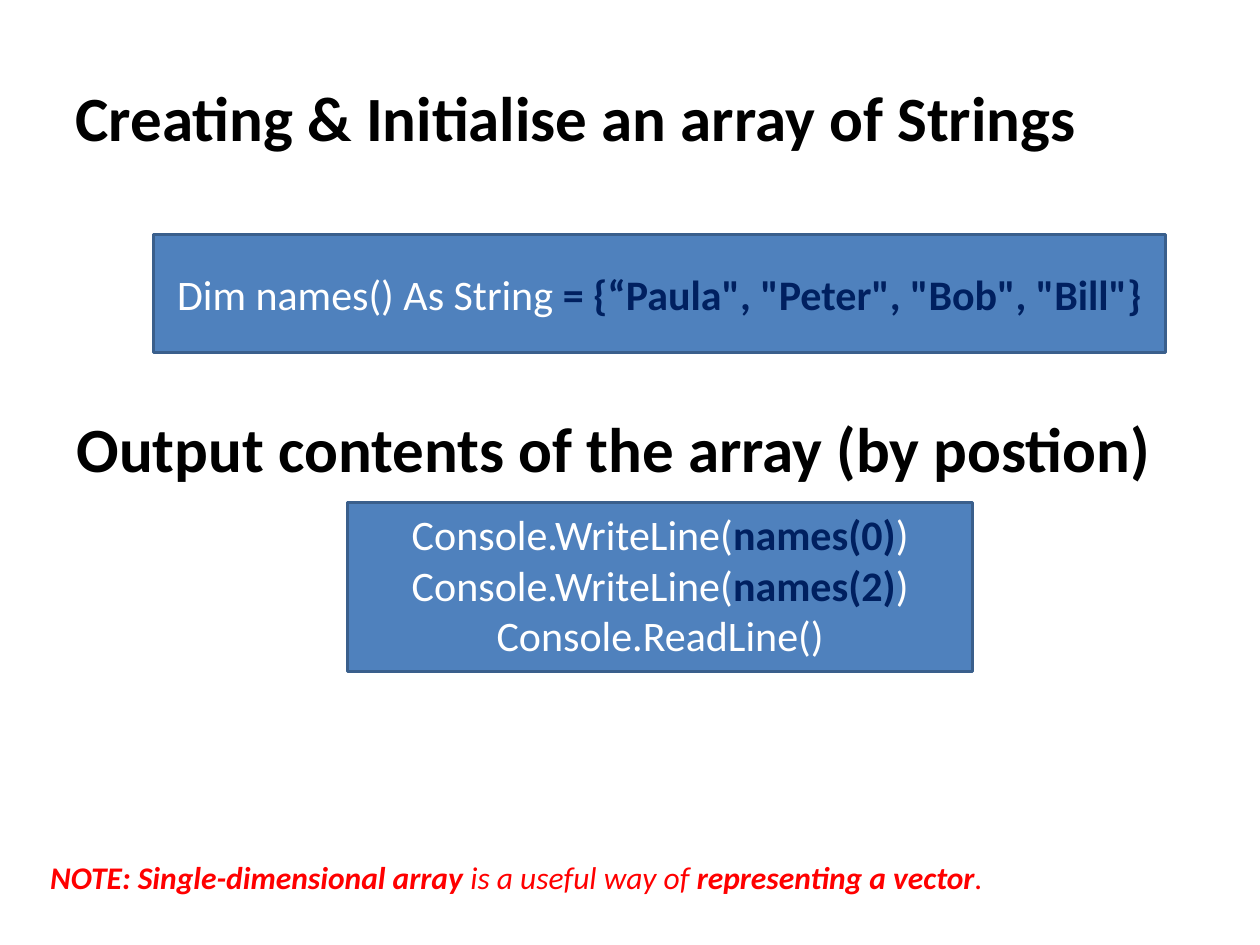
from pptx import Presentation
from pptx.dml.color import RGBColor
from pptx.enum.shapes import MSO_SHAPE
from pptx.enum.text import MSO_ANCHOR, MSO_AUTO_SIZE, PP_ALIGN
from pptx.util import Pt

RECTANGLE = MSO_SHAPE.RECTANGLE
TOP, MIDDLE = MSO_ANCHOR.TOP, MSO_ANCHOR.MIDDLE
LEFT, CENTER = PP_ALIGN.LEFT, PP_ALIGN.CENTER
TITLE_ONLY = 5
FONT = "Calibri"
COLORS = {
    "heading": "000000",
    "code": "FFFFFF",
    "highlight": "002060",
    "note": "FF0000",
    "box": "4F81BD",
    "border": "3A5F8C",
}


def write_text(shape, lines, size, color, strong_color=None, bold=True,
               italic=False, align=LEFT, anchor=MIDDLE):
    """Write lines of (text, is_strong) runs; strong runs are bold."""
    frame = shape.text_frame
    frame.word_wrap = True
    frame.auto_size = MSO_AUTO_SIZE.NONE
    frame.vertical_anchor = anchor
    for index, line in enumerate(lines):
        paragraph = frame.add_paragraph() if index else frame.paragraphs[0]
        paragraph.alignment = align
        for text, strong in line:
            run = paragraph.add_run()
            run.text = text
            font = run.font
            font.name = FONT
            font.size = Pt(size)
            font.bold = strong and bold
            font.italic = italic
            name = strong_color if strong and strong_color else color
            font.color.rgb = RGBColor.from_string(COLORS[name])


presentation = Presentation()
presentation.slide_width = Pt(720)
presentation.slide_height = Pt(540)
slide = presentation.slides.add_slide(presentation.slide_layouts[TITLE_ONLY])

# Headings
title = slide.shapes.title
title.left, title.top, title.width, title.height = Pt(36), Pt(21.6), Pt(648), Pt(90)
output_heading = slide.shapes.add_textbox(Pt(36.7), Pt(224.6), Pt(648), Pt(62.6))
for heading, text in (
    (title, "Creating & Initialise an array of Strings"),
    (output_heading, "Output contents of the array (by postion)"),
):
    write_text(heading, [[(text, True)]], size=36, color="heading")

# Code boxes
declaration = [[
    ("Dim names() As String ", False),
    ('= {“Paula", "Peter", "Bob", "Bill"}', True),
]]
output = [
    [("Console.WriteLine(", False), (f"names({position})", True), (")", False)]
    for position in (0, 2)
]
output.append([("Console.ReadLine()", False)])

for left, top, width, height, lines, anchor in (
    (87.8, 133.9, 578.2, 67.7, declaration, MIDDLE),
    (198.7, 287.3, 357.1, 96.5, output, TOP),
):
    box = slide.shapes.add_shape(RECTANGLE, Pt(left), Pt(top), Pt(width), Pt(height))
    box.shadow.inherit = False
    box.fill.solid()
    box.fill.fore_color.rgb = RGBColor.from_string(COLORS["box"])
    box.line.color.rgb = RGBColor.from_string(COLORS["border"])
    box.line.width = Pt(2)
    write_text(box, lines, size=24, color="code", strong_color="highlight",
               align=CENTER, anchor=anchor)

# Note
note = slide.shapes.add_textbox(Pt(21.6), Pt(486.7), Pt(633.6), Pt(28.8))
write_text(note, [[
    ("NOTE: Single-dimensional array ", True),
    ("is a useful way of ", False),
    ("representing a vector", True),
    (".", False),
]], size=18, color="note", italic=True, anchor=TOP)
note.text_frame.auto_size = MSO_AUTO_SIZE.SHAPE_TO_FIT_TEXT

presentation.save("out.pptx")
